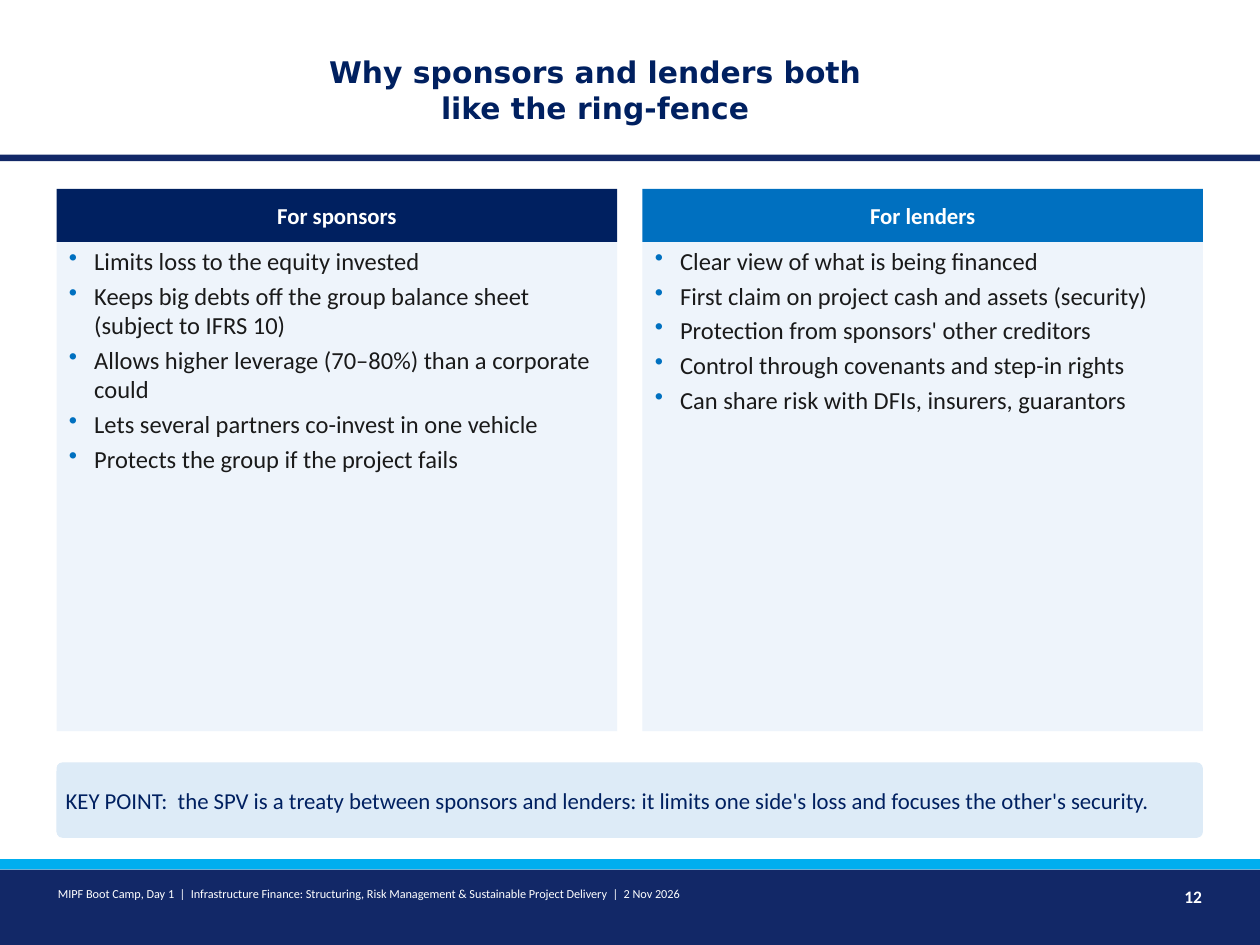
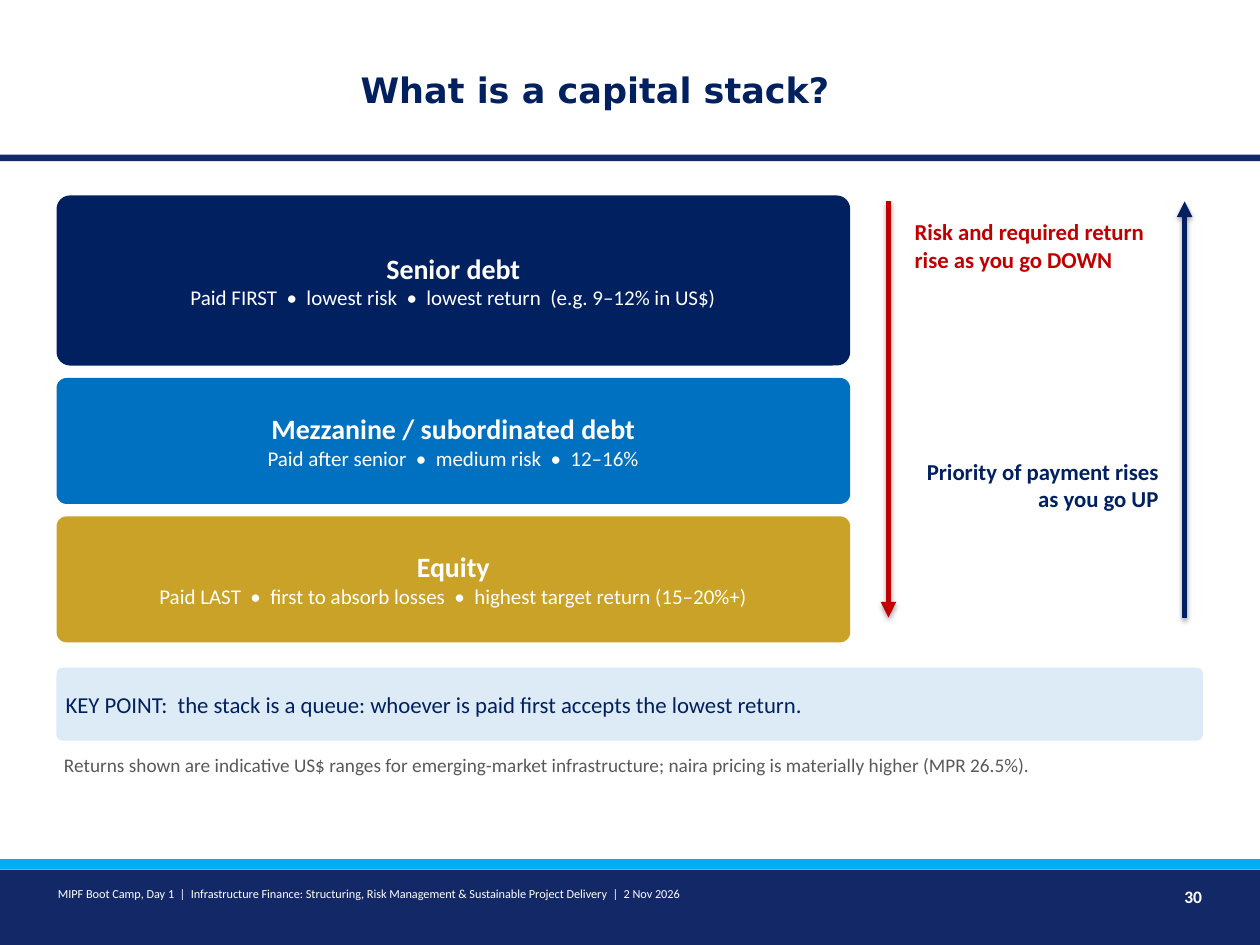
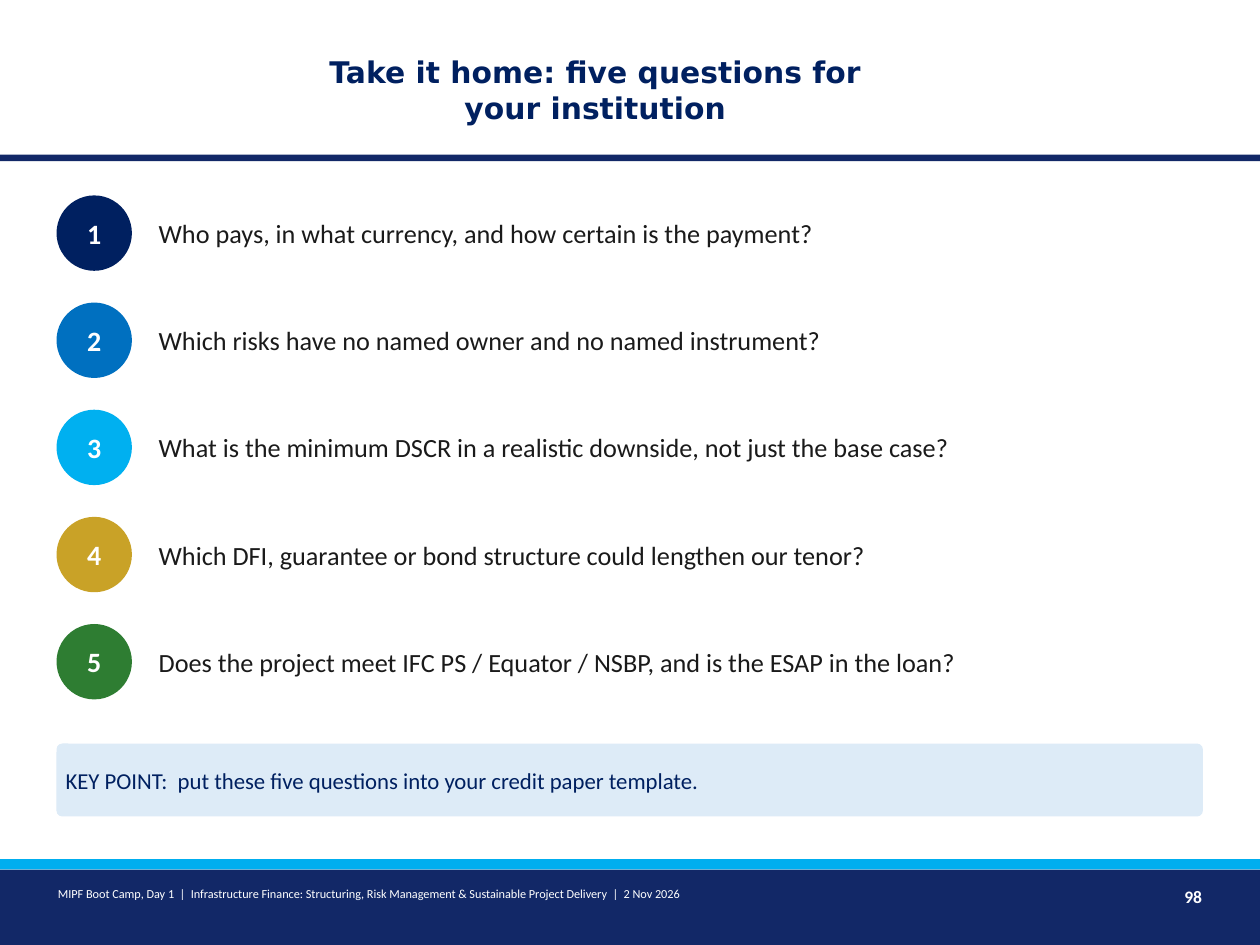
from dataclasses import dataclass

from lxml import etree
from pptx import Presentation
from pptx import util as u
from pptx.dml.color import RGBColor
from pptx.enum import shapes, text
from pptx.oxml.ns import qn

# Palette
WHITE = RGBColor(0xFF, 0xFF, 0xFF)
INK = RGBColor(0x1A, 0x1A, 0x1A)
GREY = RGBColor(0x59, 0x59, 0x59)
BAND = RGBColor(0x12, 0x28, 0x67)
STRIPE = RGBColor(0x00, 0xAE, 0xEF)
NAVY = RGBColor(0x00, 0x20, 0x60)
BLUE = RGBColor(0x00, 0x70, 0xC0)
SKY = RGBColor(0x00, 0xB0, 0xF0)
GOLD = RGBColor(0xC9, 0xA2, 0x27)
GREEN = RGBColor(0x2E, 0x7D, 0x32)
RED = RGBColor(0xC0, 0x00, 0x00)
PANEL = RGBColor(0xEE, 0xF4, 0xFB)
CALLOUT = RGBColor(0xDD, 0xEB, 0xF7)

# Shared text and measures (centimetres)
BODY_FONT = "Calibri"
TITLE_FONT = "DejaVu Sans"
FOOTER = ("MIPF Boot Camp, Day 1  |  Infrastructure Finance: Structuring, "
          "Risk Management & Sustainable Project Delivery  |  2 Nov 2026")
PAGE_W, PAGE_H = 25.4, 19.05
MARGIN = 1.14
CONTENT_W = 23.11

LEFT, CENTER, RIGHT = (text.PP_ALIGN.LEFT, text.PP_ALIGN.CENTER,
                       text.PP_ALIGN.RIGHT)
TOP, MIDDLE = text.MSO_ANCHOR.TOP, text.MSO_ANCHOR.MIDDLE
RECT = shapes.MSO_SHAPE.RECTANGLE
ROUNDED = shapes.MSO_SHAPE.ROUNDED_RECTANGLE
OVAL = shapes.MSO_SHAPE.OVAL


@dataclass(frozen=True)
class Area:
    left: float
    top: float
    width: float
    height: float

    def lengths(self) -> list:
        return [u.Cm(v) for v in (self.left, self.top, self.width, self.height)]


@dataclass(frozen=True)
class Line:
    """One paragraph in a single style."""
    words: str
    size: float
    color: RGBColor
    bold: bool = False
    align: text.PP_ALIGN = LEFT
    after: float = 0
    bullet: bool = False
    font: str = BODY_FONT


@dataclass(frozen=True)
class Column:
    heading: str
    color: RGBColor
    points: tuple


@dataclass(frozen=True)
class Layer:
    name: str
    terms: str
    color: RGBColor
    height: float


@dataclass(frozen=True)
class Question:
    words: str
    color: RGBColor


# Drawing helpers
def add_bullet(para) -> None:
    props = para._p.get_or_add_pPr()
    props.set("marL", str(u.Cm(0.61)))
    props.set("indent", str(u.Cm(-0.51)))
    color = etree.SubElement(props, qn("a:buClr"))
    etree.SubElement(color, qn("a:srgbClr"), val=str(BLUE))
    etree.SubElement(props, qn("a:buChar"), char="•")


def write(box, lines: list, anchor=TOP, inset: tuple = (0.15, 0.08)) -> None:
    frame = box.text_frame
    frame.word_wrap = True
    frame.vertical_anchor = anchor
    frame.margin_left = frame.margin_right = u.Cm(inset[0])
    frame.margin_top = frame.margin_bottom = u.Cm(inset[1])
    for index, line in enumerate(lines):
        para = frame.add_paragraph() if index else frame.paragraphs[0]
        if line.bullet:
            add_bullet(para)
        para.alignment = line.align
        para.space_after = u.Pt(line.after)
        span = para.add_run()
        span.text = line.words
        span.font.name = line.font
        span.font.size = u.Pt(line.size)
        span.font.bold = line.bold
        span.font.color.rgb = line.color


def add_block(page, kind, area: Area, fill: RGBColor, lines: list = (),
              anchor=MIDDLE):
    block = page.shapes.add_shape(kind, *area.lengths())
    block.shadow.inherit = False
    block.fill.solid()
    block.fill.fore_color.rgb = fill
    block.line.fill.background()
    if kind == ROUNDED:
        block.adjustments[0] = 0.08
    if lines:
        write(block, lines, anchor)
    return block


def add_label(page, area: Area, line: Line, anchor=TOP) -> None:
    box = page.shapes.add_textbox(*area.lengths())
    write(box, [line], anchor)
    box.text_frame.auto_size = text.MSO_AUTO_SIZE.SHAPE_TO_FIT_TEXT


def add_arrow(page, x: float, start: float, end: float, color: RGBColor) -> None:
    """Vertical arrow with a soft shadow below it."""
    arrow = page.shapes.add_connector(
        shapes.MSO_CONNECTOR.STRAIGHT,
        u.Cm(x), u.Cm(start), u.Cm(x), u.Cm(end))
    arrow.line.color.rgb = color
    arrow.line.width = u.Pt(3)
    etree.SubElement(arrow.line._get_or_add_ln(), qn("a:tailEnd"),
                     type="triangle")
    effects = etree.SubElement(arrow._element.spPr, qn("a:effectLst"))
    shadow = etree.SubElement(effects, qn("a:outerShdw"), blurRad="40000",
                              dist="20000", dir="5400000", rotWithShape="0")
    tint = etree.SubElement(shadow, qn("a:srgbClr"), val="000000")
    etree.SubElement(tint, qn("a:alpha"), val="38000")


def add_key_point(page, top: float, height: float, words: str) -> None:
    add_block(page, ROUNDED, Area(MARGIN, top, CONTENT_W, height), CALLOUT,
              [Line("KEY POINT:  " + words, 13, NAVY)])


def new_page(deck, title: str, number: int, title_size: float = 17):
    """Page with title, bands and footer."""
    page = deck.slides.add_slide(deck.slide_layouts[6])
    page.background.fill.solid()
    page.background.fill.fore_color.rgb = WHITE
    for top, height, color in ((3.12, 0.13, BAND), (17.53, 1.52, BAND),
                               (17.32, 0.21, STRIPE)):
        add_block(page, RECT, Area(0, top, PAGE_W, height), color)
    box = page.shapes.add_textbox(*Area(5.84, 0.56, 12.32, 2.49).lengths())
    write(box, [Line(title, title_size, NAVY, True, CENTER, font=TITLE_FONT)],
          MIDDLE, (0.25, 0.13))
    add_label(page, Area(1.02, 17.78, 17.27, 0.89), Line(FOOTER, 7, WHITE))
    add_label(page, Area(22.86, 17.78, 1.52, 0.89),
              Line(str(number), 10, WHITE, True, RIGHT))
    return page


# Slides
def build_ring_fence(deck) -> None:
    page = new_page(deck, "Why sponsors and lenders both like the ring-fence", 12)
    columns = (
        Column("For sponsors", NAVY, (
            "Limits loss to the equity invested",
            "Keeps big debts off the group balance sheet (subject to IFRS 10)",
            "Allows higher leverage (70–80%) than a corporate could",
            "Lets several partners co-invest in one vehicle",
            "Protects the group if the project fails")),
        Column("For lenders", BLUE, (
            "Clear view of what is being financed",
            "First claim on project cash and assets (security)",
            "Protection from sponsors' other creditors",
            "Control through covenants and step-in rights",
            "Can share risk with DFIs, insurers, guarantors")),
    )
    width, gap, top, heading_h = 11.3, 0.51, 3.81, 1.07
    for index, column in enumerate(columns):
        left = MARGIN + index * (width + gap)
        add_block(page, RECT, Area(left, top, width, heading_h), column.color,
                  [Line(column.heading, 13, WHITE, True, CENTER)])
        add_block(page, RECT, Area(left, top + heading_h, width, 9.86), PANEL,
                  [Line(point, 14, INK, after=3, bullet=True)
                   for point in column.points], TOP)
    add_key_point(page, 15.37, 1.52,
                  "the SPV is a treaty between sponsors and lenders: it limits "
                  "one side's loss and focuses the other's security.")


def build_capital_stack(deck) -> None:
    page = new_page(deck, "What is a capital stack?", 30, 20)
    layers = (
        Layer("Senior debt",
              "Paid FIRST  •  lowest risk  •  lowest return  (e.g. 9–12% in US$)",
              NAVY, 3.43),
        Layer("Mezzanine / subordinated debt",
              "Paid after senior  •  medium risk  •  12–16%", BLUE, 2.54),
        Layer("Equity",
              "Paid LAST  •  first to absorb losses  •  "
              "highest target return (15–20%+)", GOLD, 2.54),
    )
    top, gap = 3.94, 0.25
    for layer in layers:
        add_block(page, ROUNDED, Area(MARGIN, top, 16, layer.height), layer.color,
                  [Line(layer.name, 16, WHITE, True, CENTER),
                   Line(layer.terms, 12, WHITE, align=CENTER)])
        top += layer.height + gap

    # Opposing directions of risk and priority
    high, low = 4.06, 12.45
    add_arrow(page, 17.91, high, low, RED)
    add_label(page, Area(18.29, 4.32, 4.95, 3.56),
              Line("Risk and required return rise as you go DOWN",
                   13, RED, True, after=4))
    add_arrow(page, 23.88, low, high, NAVY)
    add_label(page, Area(18.29, 9.14, 5.21, 3.05),
              Line("Priority of payment rises as you go UP",
                   13, NAVY, True, RIGHT, after=4))

    add_key_point(page, 13.46, 1.47,
                  "the stack is a queue: whoever is paid first accepts "
                  "the lowest return.")
    add_label(page, Area(MARGIN, 15.11, CONTENT_W, 1.52),
              Line("Returns shown are indicative US$ ranges for emerging-market "
                   "infrastructure; naira pricing is materially higher "
                   "(MPR 26.5%).", 11, GREY, after=4))


def build_questions(deck) -> None:
    page = new_page(deck, "Take it home: five questions for your institution", 98)
    questions = (
        Question("Who pays, in what currency, and how certain is the payment?",
                 NAVY),
        Question("Which risks have no named owner and no named instrument?", BLUE),
        Question("What is the minimum DSCR in a realistic downside, "
                 "not just the base case?", SKY),
        Question("Which DFI, guarantee or bond structure could lengthen our tenor?",
                 GOLD),
        Question("Does the project meet IFC PS / Equator / NSBP, "
                 "and is the ESAP in the loan?", GREEN),
    )
    first_top, pitch, disc = 3.81, 2.16, 1.52
    for index, question in enumerate(questions):
        top = first_top + index * pitch
        add_block(page, OVAL, Area(MARGIN, top + 0.13, disc, disc), question.color,
                  [Line(str(index + 1), 16, WHITE, True, CENTER)])
        add_label(page, Area(3.05, top, 21.21, 1.78),
                  Line(question.words, 15, INK, after=4), MIDDLE)
    add_key_point(page, 14.99, 1.47,
                  "put these five questions into your credit paper template.")


def main() -> None:
    deck = Presentation()
    deck.slide_width, deck.slide_height = u.Cm(PAGE_W), u.Cm(PAGE_H)
    build_ring_fence(deck)
    build_capital_stack(deck)
    build_questions(deck)
    deck.save("out.pptx")


if __name__ == "__main__":
    main()
